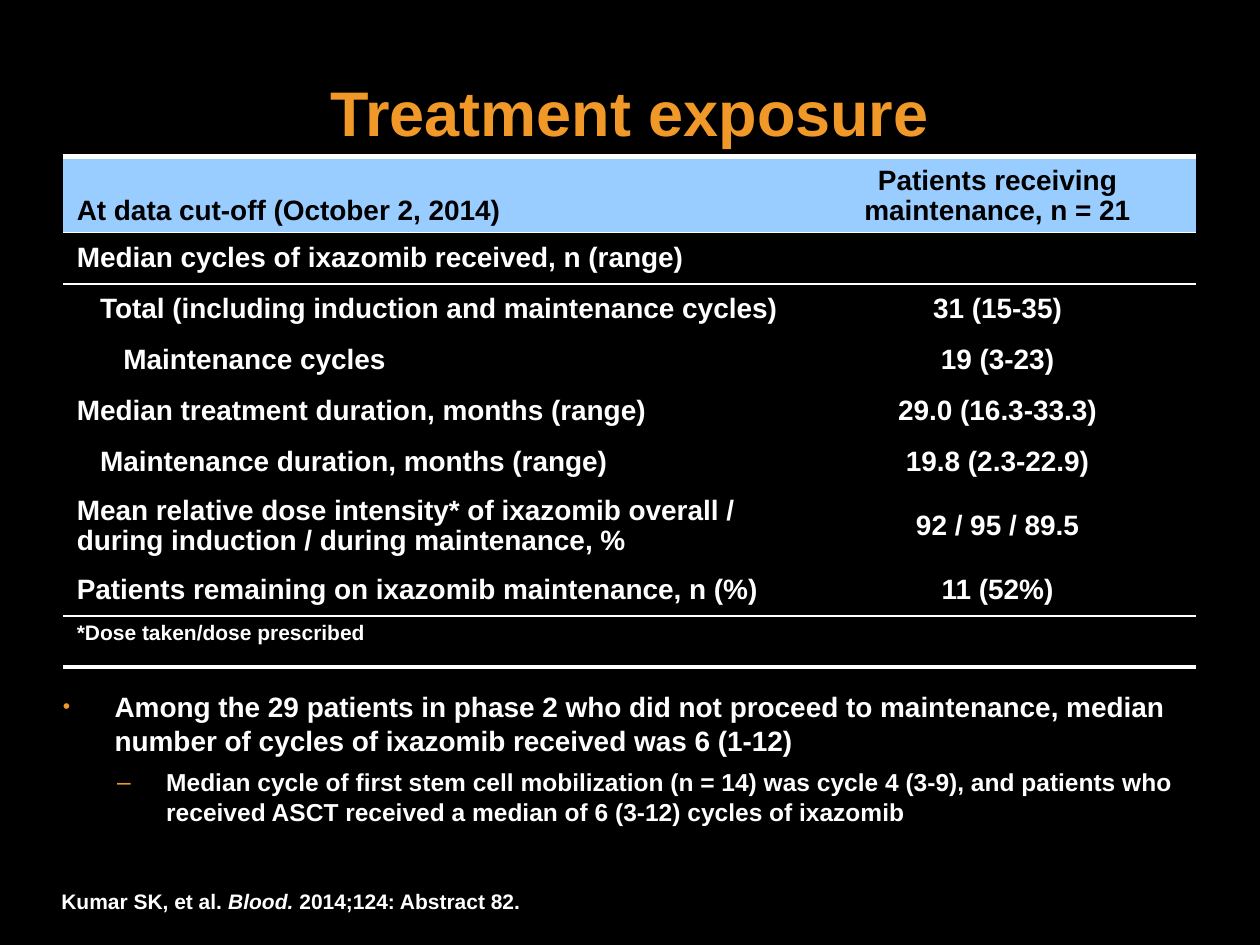
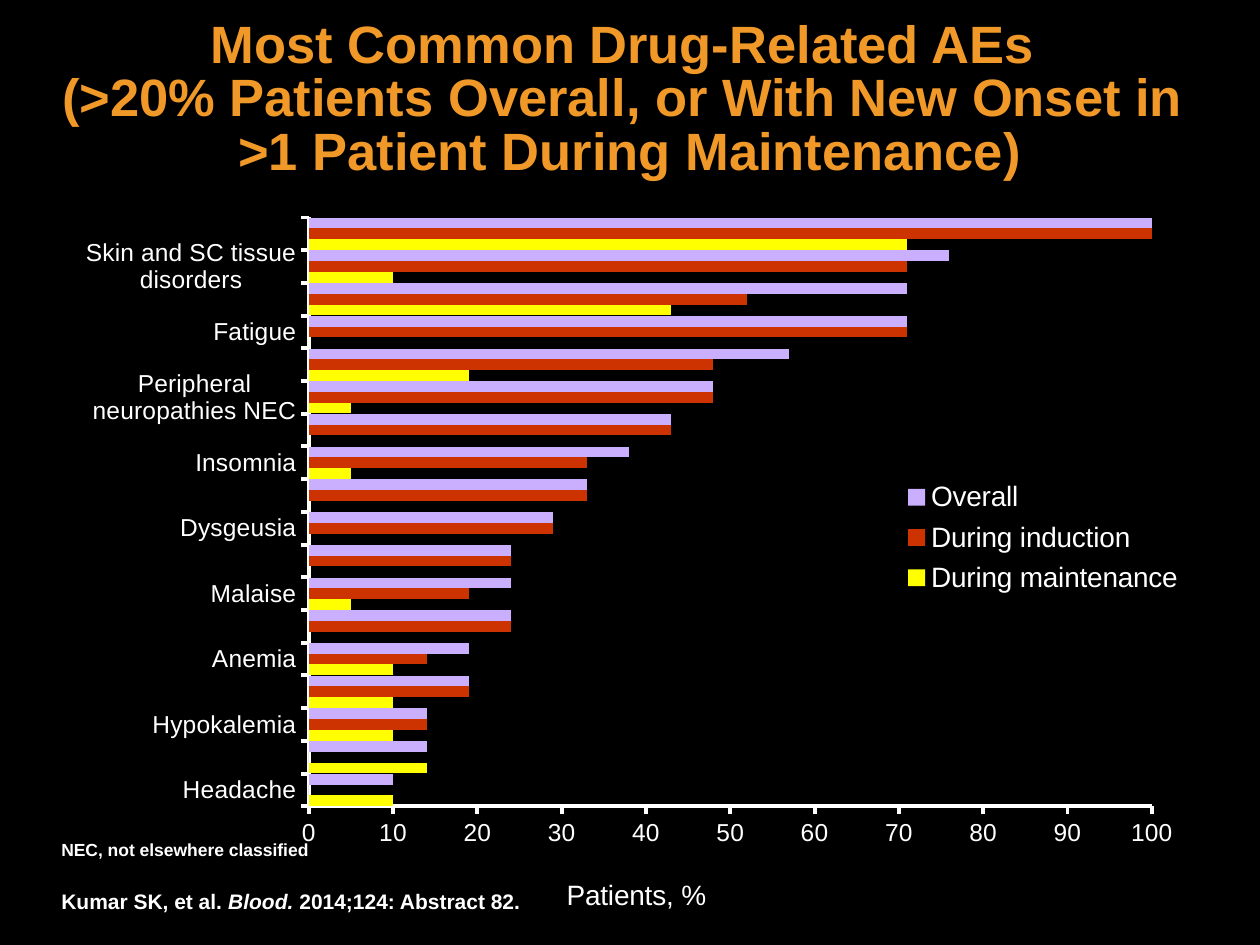
import pptx
import pptx.chart.data
import pptx.dml.color
import pptx.enum.chart
import pptx.enum.text
import pptx.oxml
import pptx.oxml.ns
import pptx.util

Pt = pptx.util.Pt
ALIGN = pptx.enum.text.PP_ALIGN
ANCHOR = pptx.enum.text.MSO_ANCHOR
FONT = "Arial"
COLORS = {
    "background": "000000", "title": "F09828", "text": "FFFFFF",
    "header_fill": "99CCFF", "header_text": "000000",
    "maintenance": "FFFF00", "induction": "CC3300", "overall": "CAAFFE",
}

CITATION = [("Kumar SK, et al. ", False), ("Blood. ", True), ("2014;124: Abstract 82.", False)]

EXPOSURE_TITLE = "Treatment exposure"
EXPOSURE_HEADER = ("At data cut-off (October 2, 2014)", "Patients receiving maintenance, n = 21")
# label, value, indent level, row height
EXPOSURE_ROWS = [
    ("Median cycles of ixazomib received, n (range)", "", 0, 29.25),
    ("Total (including induction and maintenance cycles)", "31 (15-35)", 1, 29.25),
    ("Maintenance cycles", "19 (3-23)", 2, 29.25),
    ("Median treatment duration, months (range)", "29.0 (16.3-33.3)", 0, 29.25),
    ("Maintenance duration, months (range)", "19.8 (2.3-22.9)", 1, 29.25),
    ("Mean relative dose intensity* of ixazomib overall / during induction / "
     "during maintenance, %", "92 / 95 / 89.5", 0, 43),
    ("Patients remaining on ixazomib maintenance, n (%)", "11 (52%)", 0, 29.25),
]
DOSE_NOTE = "*Dose taken/dose prescribed"
# text, size, left margin, hanging indent, bullet, bullet size in percent
FINDINGS = [
    ("Among the 29 patients in phase 2 who did not proceed to maintenance, median number of "
     "cycles of ixazomib received was 6 (1-12)", 16, 29.5, 29.5, "•", 75),
    ("Median cycle of first stem cell mobilization (n = 14) was cycle 4 (3-9), and patients who "
     "received ASCT received a median of 6 (3-12) cycles of ixazomib", 14, 59, 28, "‒", 100),
]

EVENTS_TITLE = ("Most Common Drug-Related AEs \v(>20% Patients Overall, or With New Onset in "
                "\v>1 Patient During Maintenance)")
EVENTS_NOTE = "NEC, not elsewhere classified"
EVENT_SERIES = [("During maintenance", "maintenance"), ("During induction", "induction"),
                ("Overall", "overall")]
EVENTS = [
    ("Headache", 10, 0, 10),
    ("Pain in extremity", 14, 0, 14),
    ("Hypokalemia", 10, 14, 14),
    ("Thrombocytopenia", 10, 19, 19),
    ("Anemia", 10, 14, 19),
    ("Muscle spasms", 0, 24, 24),
    ("Malaise", 5, 19, 24),
    ("Abdominal distension", 0, 24, 24),
    ("Dysgeusia", 0, 29, 29),
    ("Vomiting", 0, 33, 33),
    ("Insomnia", 5, 33, 38),
    ("Constipation", 0, 43, 43),
    ("Peripheral neuropathies NEC", 5, 48, 48),
    ("Nausea", 19, 48, 57),
    ("Fatigue", 0, 71, 71),
    ("Diarrhea", 43, 52, 71),
    ("Skin and SC tissue disorders", 10, 71, 76),
    ("Any AE", 71, 100, 100),
]

LEFT, WIDTH = 36, 647.5
TABLE_TOP, LABEL_WIDTH = 89.25, 420.5
HEADER_HEIGHT, NOTE_HEIGHT = 43, 29.25
INDENT_STEP = 13.3
NO_STYLE = "{2D5ABB26-0587-4C30-8999-92F81FD0307C}"


def rgb(key):
    return pptx.dml.color.RGBColor.from_string(COLORS[key])


def xml(tag, attributes="", content=""):
    prefix = tag.split(":")[0]
    return pptx.oxml.parse_xml(
        f"<{tag} {pptx.oxml.ns.nsdecls(*dict.fromkeys((prefix, 'a')))} {attributes}>"
        f"{content}</{tag}>")


def apply(target, **values):
    for key, value in values.items():
        setattr(target, key, value)


def style_font(font, size, color="text", bold=False, italic=False):
    apply(font, name=FONT, size=Pt(size), bold=bold, italic=italic)
    font.color.rgb = rgb(color)


def write(paragraph, text, size, color="text", italic=False):
    """Add bold text; vertical tabs become line breaks."""
    for number, line in enumerate(text.split("\v")):
        if number:
            paragraph.add_line_break()
        run = paragraph.add_run()
        run.text = line
        style_font(run.font, size, color, bold=True, italic=italic)


def add_box(slide, left, top, width, height, insets=(0, 3, 3, 3), **frame_format):
    frame = slide.shapes.add_textbox(Pt(left), Pt(top), Pt(width), Pt(height)).text_frame
    margins = zip(("margin_left", "margin_top", "margin_right", "margin_bottom"), map(Pt, insets))
    apply(frame, **{"word_wrap": True, **dict(margins), **frame_format})
    return frame


def add_slide(deck, title, size, left, top, width):
    """Start a slide with the shared background, title style and citation."""
    slide = deck.slides.add_slide(deck.slide_layouts[6])
    slide.background.fill.solid()
    slide.background.fill.fore_color.rgb = rgb("background")
    heading = add_box(slide, left, top, width, 80.5, (3, 3, 3, 3),
                      vertical_anchor=ANCHOR.BOTTOM).paragraphs[0]
    apply(heading, alignment=ALIGN.CENTER, line_spacing=0.85)
    write(heading, title, size, "title")
    citation = add_box(slide, 28, 504, 279.5, 21.75, (7.2, 3.6, 7.2, 3.6), word_wrap=False)
    for text, italic in CITATION:
        write(citation.paragraphs[0], text, 12, italic=italic)
    return slide


def fill_cell(cell, text, size=16, color="text", align=ALIGN.LEFT, anchor=ANCHOR.MIDDLE,
              indent=0, fill=None, top=0, bottom=0):
    apply(cell, margin_left=Pt(7.9), margin_right=Pt(7.9), margin_top=Pt(3.6),
          margin_bottom=Pt(3.6), vertical_anchor=anchor)
    paragraph = cell.text_frame.paragraphs[0]
    apply(paragraph, alignment=align, line_spacing=0.95)
    if indent:
        paragraph._p.get_or_add_pPr().set("marL", str(Pt(indent * INDENT_STEP)))
    if text:
        write(paragraph, text, size, color)
    for edge, weight in (("a:lnT", top), ("a:lnB", bottom)):
        if weight:
            line = f'<a:solidFill><a:srgbClr val="{COLORS["text"]}"/></a:solidFill>'
            cell._tc.get_or_add_tcPr().append(xml(edge, f'w="{Pt(weight)}"', line))
    if fill:
        cell.fill.solid()
        cell.fill.fore_color.rgb = rgb(fill)
    else:
        cell.fill.background()


def add_exposure_table(slide):
    heights = [HEADER_HEIGHT, *(row[3] for row in EXPOSURE_ROWS), NOTE_HEIGHT]
    table = slide.shapes.add_table(len(heights), 2, Pt(LEFT), Pt(TABLE_TOP), Pt(WIDTH),
                                   Pt(sum(heights))).table
    apply(table, first_row=False, horz_banding=False)
    table._tbl.tblPr.find(pptx.oxml.ns.qn("a:tableStyleId")).text = NO_STYLE
    for column, width in zip(table.columns, (LABEL_WIDTH, WIDTH - LABEL_WIDTH)):
        column.width = Pt(width)
    for row, height in zip(table.rows, heights):
        row.height = Pt(height)

    aligns = (ALIGN.LEFT, ALIGN.CENTER)
    for column, (text, align) in enumerate(zip(EXPOSURE_HEADER, aligns)):
        fill_cell(table.cell(0, column), text, color="header_text", align=align,
                  anchor=ANCHOR.BOTTOM, fill="header_fill", top=3, bottom=1)
    for number, (label, value, level, _) in enumerate(EXPOSURE_ROWS, 1):
        edges = {"top": int(number == 1), "bottom": int(number == len(EXPOSURE_ROWS))}
        fill_cell(table.cell(number, 0), label, indent=level, **edges)
        fill_cell(table.cell(number, 1), value, align=ALIGN.CENTER, **edges)
    last = len(heights) - 1
    table.cell(last, 0).merge(table.cell(last, 1))
    for column, text in enumerate((DOSE_NOTE, "")):
        fill_cell(table.cell(last, column), text, size=12, anchor=ANCHOR.TOP, top=1, bottom=3)


def add_findings(slide):
    frame = add_box(slide, LEFT, 391, WIDTH, 79)
    for level, (text, size, margin, hanging, bullet, percent) in enumerate(FINDINGS):
        paragraph = frame.add_paragraph() if level else frame.paragraphs[0]
        properties = paragraph._p.get_or_add_pPr()
        properties.set("marL", str(Pt(margin)))
        properties.set("indent", str(-Pt(hanging)))
        properties.append(xml("a:buClr", content=f'<a:srgbClr val="{COLORS["title"]}"/>'))
        properties.append(xml("a:buSzPct", f'val="{percent * 1000}"'))
        properties.append(xml("a:buFont", f'typeface="{FONT}"'))
        properties.append(xml("a:buChar", f'char="{bullet}"'))
        apply(paragraph, level=level, space_after=Pt(6))
        write(paragraph, text, size)


def place(element, index, x, y, width=None, height=None, inner=False):
    """Set a manual layout, as fractions of the chart, at the given child index."""
    for old in element.findall(pptx.oxml.ns.qn("c:layout")):
        element.remove(old)
    parts = [("layoutTarget", "inner")] if inner else []
    parts += [("xMode", "edge"), ("yMode", "edge"), ("x", x), ("y", y)]
    if width:
        parts += [("w", width), ("h", height)]
    content = "".join(f'<c:{name} val="{value}"/>' for name, value in parts)
    element.insert(index, xml("c:layout", content=f"<c:manualLayout>{content}</c:manualLayout>"))


def add_event_chart(slide):
    names, *values = zip(*EVENTS)
    data = pptx.chart.data.CategoryChartData()
    data.categories = names
    for (name, _), column in zip(EVENT_SERIES, values):
        data.add_series(name, column)
    chart = slide.shapes.add_chart(pptx.enum.chart.XL_CHART_TYPE.BAR_CLUSTERED, Pt(LEFT), Pt(116),
                                   Pt(WIDTH), Pt(415.5), data).chart
    chart.has_title = False
    style_font(chart.font, 18)

    plot = chart.plots[0]
    apply(plot, gap_width=5, overlap=0, vary_by_categories=False)
    for series, (_, color) in zip(plot.series, EVENT_SERIES):
        series.format.fill.solid()
        series.format.fill.fore_color.rgb = rgb(color)
        series.invert_if_negative = False

    for axis in (chart.category_axis, chart.value_axis):
        apply(axis, has_major_gridlines=False,
              major_tick_mark=pptx.enum.chart.XL_TICK_MARK.OUTSIDE)
        style_font(axis.tick_labels.font, 14)
        axis.format.line.color.rgb = rgb("text")
        axis.format.line.width = Pt(2.25)
    apply(chart.value_axis, minimum_scale=0, maximum_scale=100, major_unit=10)
    axis_title = chart.value_axis.axis_title
    run = axis_title.text_frame.paragraphs[0].add_run()
    run.text = "Patients, %"
    style_font(run.font, 16)

    chart.has_legend = True
    apply(chart.legend, position=pptx.enum.chart.XL_LEGEND_POSITION.RIGHT, include_in_layout=True)
    style_font(chart.legend.font, 16)

    place(chart._chartSpace.chart.plotArea, 0, 0.217, 0.02, 0.744, 0.81, inner=True)
    place(axis_title._element, 1, 0.44, 0.92)
    place(chart.legend._element, 1, 0.74, 0.37, 0.25, 0.18)


def main():
    deck = pptx.Presentation()
    apply(deck, slide_width=Pt(720), slide_height=Pt(540))

    exposure = add_slide(deck, EXPOSURE_TITLE, 36, LEFT, 8, WIDTH)
    add_exposure_table(exposure)
    add_findings(exposure)

    events = add_slide(deck, EVENTS_TITLE, 30, 0, 26, 720)
    add_event_chart(events)
    note = add_box(events, 35, 476.5, 159, 19.5, word_wrap=False)
    write(note.paragraphs[0], EVENTS_NOTE, 10)

    deck.save("out.pptx")


if __name__ == "__main__":
    main()
